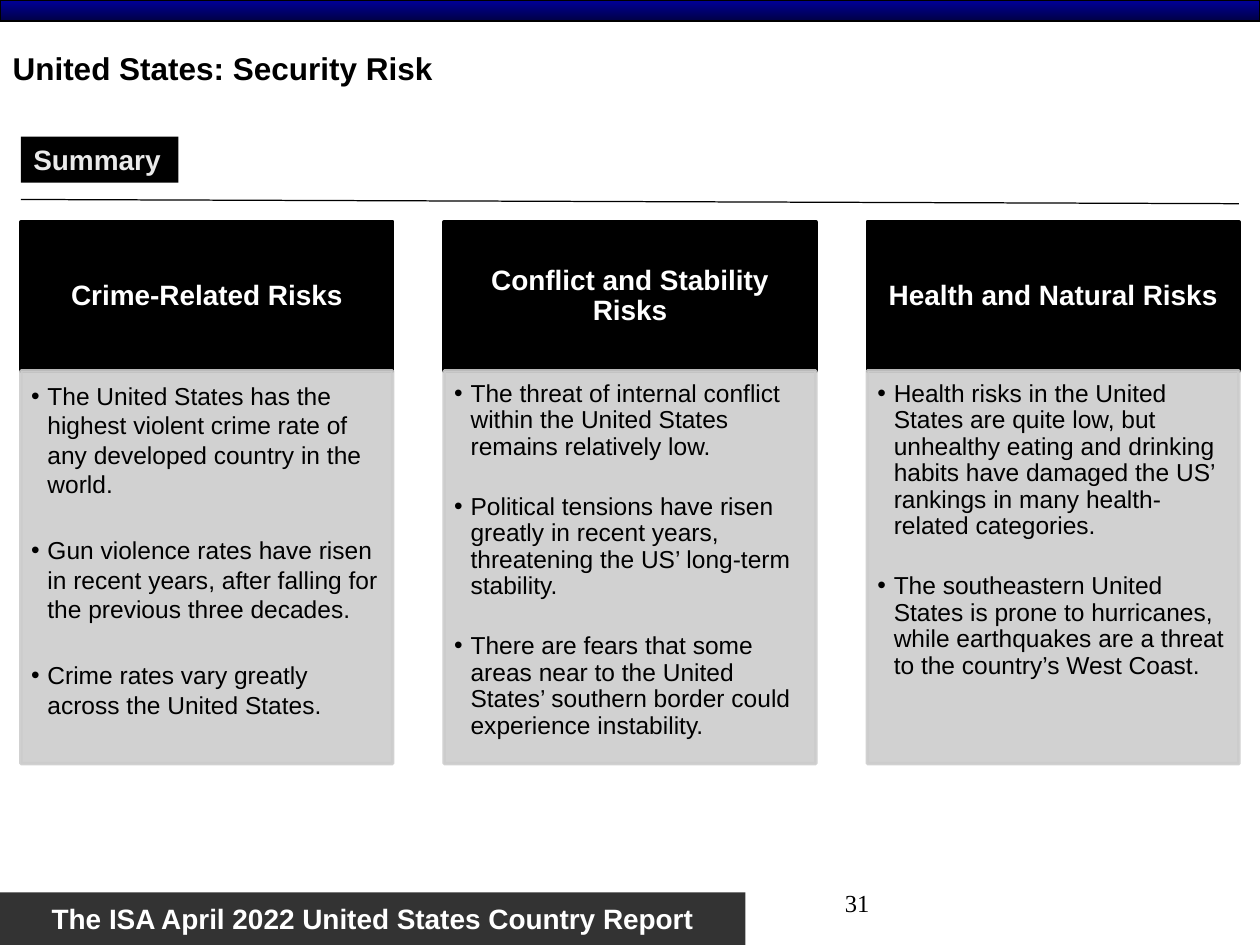
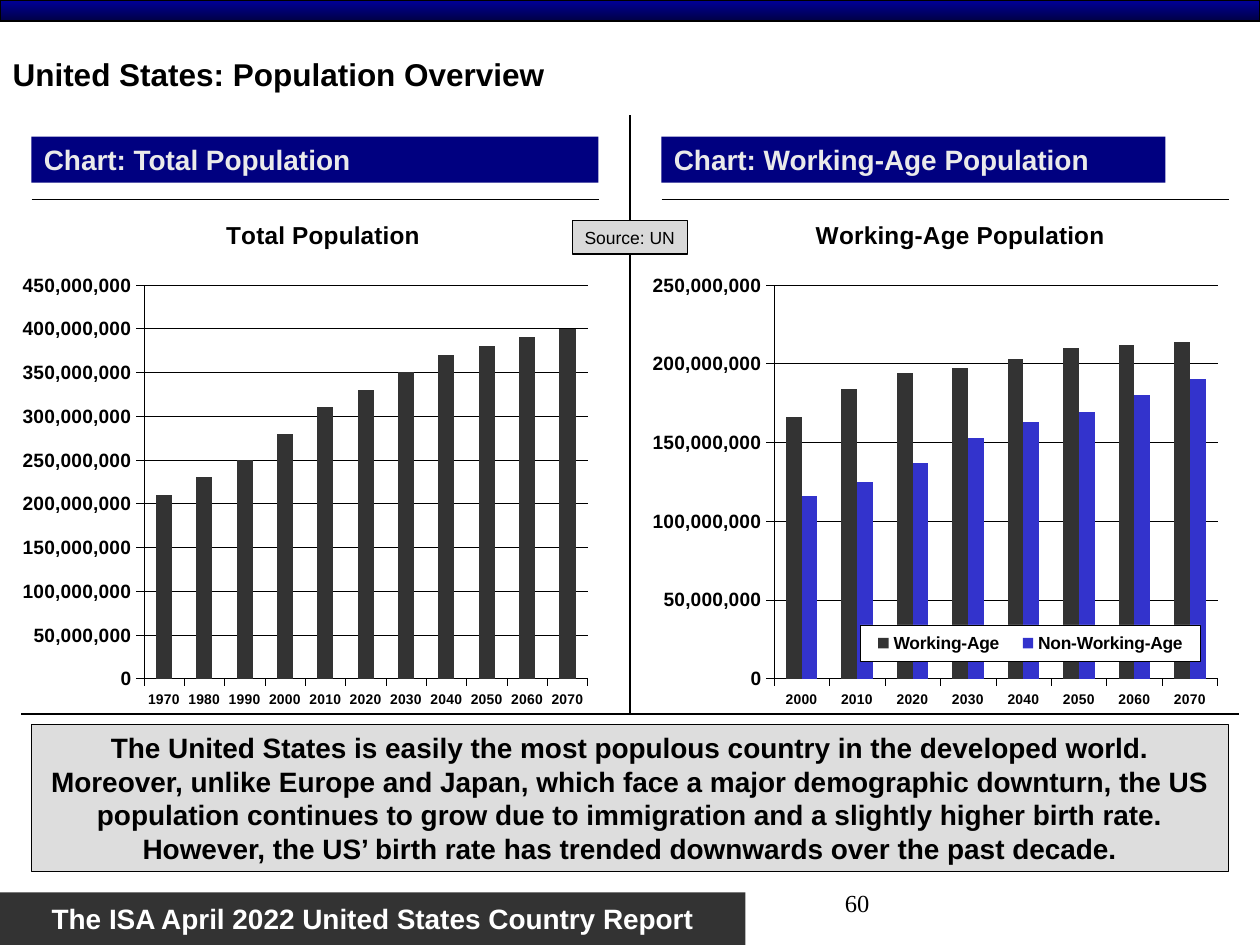
from lxml import etree
from pptx import Presentation
from pptx import util as u
from pptx.chart.data import CategoryChartData
from pptx.dml.color import RGBColor
from pptx.enum import chart as charts, shapes, text
from pptx.oxml import parse_xml
from pptx.oxml.ns import nsdecls, qn

BLACK = RGBColor(0x00, 0x00, 0x00)
WHITE = RGBColor(0xFF, 0xFF, 0xFF)
BAND_TOP = RGBColor(0x00, 0x00, 0x99)
BAND_BOTTOM = RGBColor(0x00, 0x00, 0x47)
NAVY = RGBColor(0x00, 0x00, 0x80)
BLUE = RGBColor(0x33, 0x33, 0xCC)
CHARCOAL = RGBColor(0x33, 0x33, 0x33)
GREY = RGBColor(0xCC, 0xCC, 0xCC)
SOURCE_GREY = RGBColor(0xD9, 0xD9, 0xD9)
NOTE_GREY = RGBColor(0xDD, 0xDD, 0xDD)
PALE = RGBColor(0xEA, 0xEA, 0xEA)

COLUMNS, ROWS = 120, 90
LEFT, RIGHT = 2, 118
LABEL_TOP, LABEL_HEIGHT, RULE_ROW = 13, 4.4, 19
THIN = 0.7
REPORT = "The ISA April 2022 United States Country Report"

CENTER = text.PP_ALIGN.CENTER
MIDDLE = text.MSO_ANCHOR.MIDDLE


def write(frame, paragraphs, size=16, color=BLACK, bold=False, font="Arial",
          align=text.PP_ALIGN.LEFT, anchor=MIDDLE, wrap=True, insets=None,
          bullet=None, line_spacing=None, gap=0):
    """Fill a text frame with one paragraph for each string."""
    frame.auto_size = text.MSO_AUTO_SIZE.NONE
    frame.word_wrap = wrap
    frame.vertical_anchor = anchor
    if insets:
        (frame.margin_left, frame.margin_top,
         frame.margin_right, frame.margin_bottom) = map(u.Inches, insets)
    for index, words in enumerate(paragraphs):
        para = frame.add_paragraph() if index else frame.paragraphs[0]
        if bullet:
            props = para._p.get_or_add_pPr()
            indent = u.Inches(0.13)
            props.set("marL", str(indent))
            props.set("indent", str(-indent))
            etree.SubElement(props, qn("a:buFont")).set("typeface", font)
            etree.SubElement(props, qn("a:buChar")).set("char", bullet)
            para.font.size, para.font.name = u.Pt(size), font
        para.alignment = align
        para.space_before = u.Pt(gap if index else 0)
        if line_spacing:
            para.line_spacing = line_spacing
        span = para.add_run()
        span.text = words
        span.font.name, span.font.size, span.font.bold = font, u.Pt(size), bold
        span.font.color.rgb = color


def place(element, index, inner=False, **shares):
    """Give a chart part a manual layout, in shares of the chart."""
    for old in element.findall(qn("c:layout")):
        element.remove(old)
    target = '<c:layoutTarget val="inner"/>' if inner else ""
    modes = "".join(f'<c:{key}Mode val="edge"/>' for key in "xy")
    values = "".join(f'<c:{key} val="{share}"/>' for key, share in shares.items())
    element.insert(index, parse_xml(
        f'<c:layout {nsdecls("c")}><c:manualLayout>{target}{modes}{values}'
        f'</c:manualLayout></c:layout>'))


class Report:
    def __init__(self):
        self.deck = Presentation()
        self.deck.slide_width, self.deck.slide_height = u.Inches(10), u.Inches(7.5)
        self.page = None

    def area(self, left, top, width, height):
        across = self.deck.slide_width / COLUMNS
        down = self.deck.slide_height / ROWS
        return [round(n) for n in
                (left * across, top * down, width * across, height * down)]

    def start(self, title, number, title_top):
        """Add a page with its title, band, footer and page number."""
        self.page = self.deck.slides.add_slide(self.deck.slide_layouts[5])
        heading = self.page.shapes.title
        heading.left, heading.top, heading.width, heading.height = self.area(
            0, title_top, 87, 11 - title_top)
        write(heading.text_frame, [title], size=18, bold=True)

        band = self.box(0, 0, COLUMNS, 2, fill=BAND_TOP, line=BLACK)
        band.fill.gradient()
        band.fill.gradient_angle = 270
        for stop, color, position in zip(
                band.fill.gradient_stops, (BAND_TOP, BAND_BOTTOM), (0, 1)):
            stop.color.rgb, stop.position = color, position

        self.box(0, 85, 71, 5, [REPORT], fill=CHARCOAL, color=WHITE,
                 bold=True, align=CENTER, wrap=False)
        self.words(59, 84, 25, 6, [number], size=14, font="Times New Roman",
                   align=text.PP_ALIGN.RIGHT, anchor=text.MSO_ANCHOR.TOP)

    def words(self, left, top, width, height, paragraphs, **style):
        box = self.page.shapes.add_textbox(*self.area(left, top, width, height))
        write(box.text_frame, paragraphs, **style)

    def box(self, left, top, width, height, paragraphs=(), fill=BLACK, line=None,
            line_width=THIN, opacity=None, **style):
        box = self.page.shapes.add_shape(
            shapes.MSO_SHAPE.RECTANGLE, *self.area(left, top, width, height))
        box.shadow.inherit = False
        box.fill.solid()
        box.fill.fore_color.rgb = fill
        if line is None:
            box.line.fill.background()
        else:
            box.line.color.rgb, box.line.width = line, u.Pt(line_width)
        if opacity:
            for color in box._element.spPr.iter(qn("a:srgbClr")):
                etree.SubElement(color, qn("a:alpha")).set("val", str(opacity * 1000))
        write(box.text_frame, paragraphs, **style)
        return box

    def label(self, left, width, words, fill):
        self.box(left, LABEL_TOP, width, LABEL_HEIGHT, [words], fill=fill,
                 color=PALE, bold=True)

    def rule(self, x1, y1, x2, y2):
        line = self.page.shapes.add_connector(
            shapes.MSO_CONNECTOR.STRAIGHT, *self.area(x1, y1, x2, y2))
        line.line.color.rgb, line.line.width = BLACK, u.Pt(THIN)
        etree.SubElement(line._element.spPr, qn("a:effectLst"))

    def columns(self, left, title, title_x, top_value, years, series):
        """Draw a clustered column chart; series maps names to (millions, colour)."""
        data = CategoryChartData()
        data.categories = [str(year) for year in years]
        for name, (millions, _) in series.items():
            data.add_series(name, [value * 1_000_000 for value in millions])
        chart = self.page.shapes.add_chart(
            charts.XL_CHART_TYPE.COLUMN_CLUSTERED,
            *self.area(left, 19.45, 55.2, 49.6), data).chart
        chart.font.name, chart.font.size, chart.font.bold = "Arial", u.Pt(14), True
        chart.font.color.rgb = BLACK

        chart.has_title = True
        write_title = chart.chart_title.text_frame.paragraphs[0].add_run()
        write_title.text = title
        write_title.font.name, write_title.font.size = "Arial", u.Pt(14)
        write_title.font.bold = True
        write_title.font.color.rgb = BLACK
        place(chart.chart_title._element, 1, x=title_x, y=0.02)
        place(chart._chartSpace.chart.plotArea, 0, inner=True,
              x=0.205, y=0.155, w=0.77, h=0.756)

        plot = chart.plots[0]
        plot.gap_width, plot.overlap, plot.vary_by_categories = 150, 0, False
        for bars, (_, color) in zip(plot.series, series.values()):
            bars.format.fill.solid()
            bars.format.fill.fore_color.rgb = color
            bars.invert_if_negative = False

        values = chart.value_axis
        values.minimum_scale, values.maximum_scale = 0, top_value * 1_000_000
        values.major_unit = 50_000_000
        values.tick_labels.number_format = "#,##0"
        values.tick_labels.number_format_is_linked = False
        values.has_major_gridlines = True
        chart.category_axis.tick_label_position = charts.XL_TICK_LABEL_POSITION.LOW
        for axis, size in ((values, 11), (chart.category_axis, 8)):
            axis.major_tick_mark = charts.XL_TICK_MARK.OUTSIDE
            font = axis.tick_labels.font
            font.name, font.size, font.bold = "Arial", u.Pt(size), True
            font.color.rgb = BLACK
        for line in (values.format.line, chart.category_axis.format.line,
                     values.major_gridlines.format.line):
            line.color.rgb, line.width = BLACK, u.Pt(0.25)

        chart.has_legend = len(series) > 1
        if chart.has_legend:
            self.legend(chart.legend)

    def legend(self, legend):
        legend.position = charts.XL_LEGEND_POSITION.RIGHT
        legend.include_in_layout = False
        legend.font.name, legend.font.size, legend.font.bold = "Arial", u.Pt(10), True
        legend.font.color.rgb = BLACK
        place(legend._element, 1, x=0.355, y=0.808, w=0.59, h=0.07)
        legend._element.find(qn("c:overlay")).addnext(parse_xml(
            f'<c:spPr {nsdecls("c", "a")}><a:solidFill><a:srgbClr val="{WHITE}"/>'
            f'</a:solidFill><a:ln w="{u.Pt(0.25)}"><a:solidFill>'
            f'<a:srgbClr val="{BLACK}"/></a:solidFill></a:ln></c:spPr>'))


# Risk columns: heading, line spacing, gap between points, points
RISKS = [
    ("Crime-Related Risks", 1.0, 21, [
        "The United States has the highest violent crime rate of any developed "
        "country in the world.",
        "Gun violence rates have risen in recent years, after falling for the "
        "previous three decades.",
        "Crime rates vary greatly across the United States."]),
    ("Conflict and Stability Risks", 0.9, 19.2, [
        "The threat of internal conflict within the United States remains "
        "relatively low.",
        "Political tensions have risen greatly in recent years, threatening the "
        "US’ long-term stability.",
        "There are fears that some areas near to the United States’ southern "
        "border could experience instability."]),
    ("Health and Natural Risks", 0.9, 19.2, [
        "Health risks in the United States are quite low, but unhealthy eating "
        "and drinking habits have damaged the US’ rankings in many "
        "health-related categories.",
        "The southeastern United States is prone to hurricanes, while "
        "earthquakes are a threat to the country’s West Coast."]),
]

POPULATION_NOTE = (
    "The United States is easily the most populous country in the developed world. "
    "Moreover, unlike Europe and Japan, which face a major demographic downturn, "
    "the US population continues to grow due to immigration and a slightly higher "
    "birth rate. However, the US’ birth rate has trended downwards over the past "
    "decade.")


def security_page(report):
    report.start("United States: Security Risk", "31", title_top=2)
    report.label(LEFT, 15, "Summary", BLACK)
    report.rule(LEFT, RULE_ROW, RIGHT, RULE_ROW + 0.4)

    width, top, head, body = 35.4, 21.13, 14.2, 37.4
    step = (RIGHT - LEFT - width) / (len(RISKS) - 1)
    for index, (heading, spacing, gap, points) in enumerate(RISKS):
        left = LEFT + index * step
        report.box(left, top, width, head, [heading], line=BLACK, line_width=2,
                   color=WHITE, bold=True, align=CENTER, line_spacing=0.9,
                   insets=(0.12, 0.07, 0.12, 0.07))
        report.box(left, top + head, width, body, points, fill=GREY, line=GREY,
                   line_width=2, opacity=90, size=14, bullet="•", gap=gap,
                   line_spacing=spacing, anchor=text.MSO_ANCHOR.TOP,
                   insets=(0.08, 0.08, 0.11, 0.12))


def population_page(report):
    report.start("United States: Population Overview", "60", title_top=3)

    # Dividers and labels
    report.rule(60, 11, 60, 68)
    for left, width, words in ((3, 54, "Chart: Total Population"),
                               (63, 48, "Chart: Working-Age Population")):
        report.rule(left, RULE_ROW, left + 54, RULE_ROW)
        report.label(left, width, words, NAVY)
    report.rule(RIGHT, 68, LEFT, 68)
    report.box(3, 69, 114, 14, [POPULATION_NOTE], fill=NOTE_GREY, line=BLACK,
               bold=True, align=CENTER)

    # Charts, in millions of people
    report.columns(2.15, "Total Population", 0.34, 450, range(1970, 2071, 10), {
        "Series 1": ([210, 230, 250, 280, 310, 330, 350, 370, 380, 390, 400],
                     CHARCOAL)})
    report.columns(62.15, "Working-Age Population", 0.27, 250, range(2000, 2071, 10), {
        "Working-Age": ([166, 184, 194, 197, 203, 210, 212, 214], CHARCOAL),
        "Non-Working-Age": ([116, 125, 137, 153, 163, 169, 180, 190], BLUE)})
    report.box(54.5, 21, 11, 3.2, ["Source: UN"], fill=SOURCE_GREY, line=BLACK, size=10)


def main():
    report = Report()
    security_page(report)
    population_page(report)
    report.deck.save("out.pptx")


if __name__ == "__main__":
    main()
